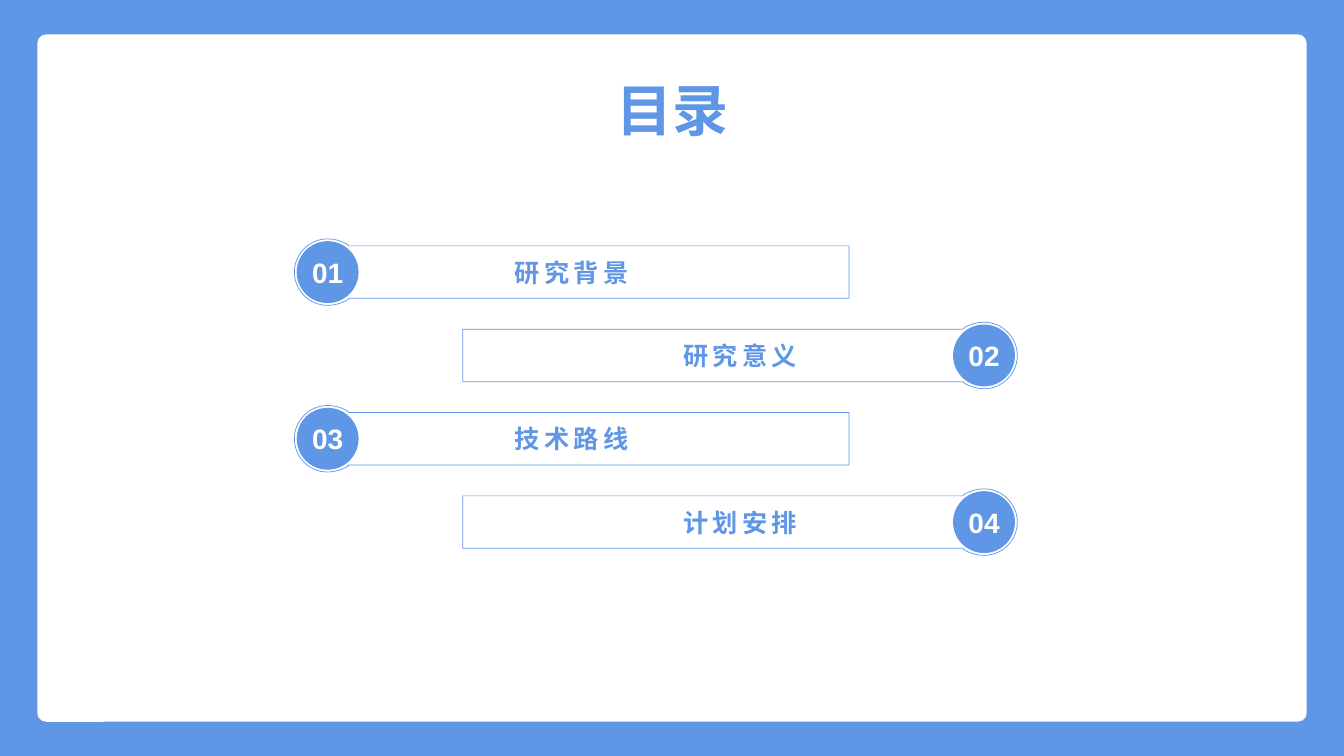
import pptx
import pptx.util
import pptx.dml.color
import pptx.enum.shapes
import pptx.enum.text
import pptx.oxml.ns
import lxml.etree

COLORS = {"blue": "6096E6", "white": "FFFFFF"}
CHINESE_FONT = "Noto Sans CJK SC"
WIDTH, HEIGHT = 13.33, 7.5
ENTRIES = ["研究背景", "研究意义", "技术路线", "计划安排"]
FIRST_ROW, LAST_ROW = 2.7, 5.18
ROW_PITCH = (LAST_ROW - FIRST_ROW) / (len(ENTRIES) - 1)
COLUMN_KNOB, COLUMN_END, COLUMN_SUM = 3.25, 8.42, 13.01
RING_RADIUS, KNOB_RADIUS, BAR_HALF = 0.33, 0.3, 0.26
ARC_HANDLE = 0.55 * RING_RADIUS
BAR_REACH = COLUMN_END - COLUMN_KNOB


def style_shape(shape, fill, line_width):
    shape.shadow.inherit = False
    if fill:
        shape.fill.solid()
        shape.fill.fore_color.rgb = pptx.dml.color.RGBColor.from_string(COLORS[fill])
    else:
        shape.fill.background()
    if line_width:
        shape.line.color.rgb = pptx.dml.color.RGBColor.from_string(COLORS["blue"])
        shape.line.width = pptx.util.Pt(line_width)
    else:
        shape.line.fill.background()


def write_text(shape, text, size, font_name, color, spacing=0):
    frame = shape.text_frame
    frame.text = text
    frame.vertical_anchor = pptx.enum.text.MSO_ANCHOR.MIDDLE
    frame.word_wrap = True
    frame.auto_size = pptx.enum.text.MSO_AUTO_SIZE.NONE
    frame.margin_left = frame.margin_right = frame.margin_top = frame.margin_bottom = 0
    paragraph = frame.paragraphs[0]
    paragraph.alignment = pptx.enum.text.PP_ALIGN.CENTER
    paragraph.font.size = pptx.util.Pt(size)
    paragraph.font.bold = True
    paragraph.font.name = font_name
    paragraph.font.color.rgb = pptx.dml.color.RGBColor.from_string(COLORS[color])
    properties = paragraph._p.pPr.find(pptx.oxml.ns.qn("a:defRPr"))
    if spacing:
        properties.set("spc", str(spacing * 100))
    east_asian = lxml.etree.SubElement(properties, pptx.oxml.ns.qn("a:ea"))
    east_asian.set("typeface", font_name)


presentation = pptx.Presentation()
presentation.slide_width = pptx.util.Inches(WIDTH)
presentation.slide_height = pptx.util.Inches(HEIGHT)
slide = presentation.slides.add_slide(presentation.slide_layouts[5])
shapes = slide.shapes
preset = pptx.enum.shapes.MSO_SHAPE

backdrop = shapes.add_shape(
    preset.RECTANGLE, 0, 0, presentation.slide_width, presentation.slide_height)
style_shape(backdrop, "blue", 0)

panel_box = [0.37, 0.34, WIDTH - 2 * 0.37, HEIGHT - 2 * 0.34]
panel = shapes.add_shape(preset.ROUNDED_RECTANGLE, *map(pptx.util.Inches, panel_box))
panel.adjustments[0] = 0.013
style_shape(panel, "white", 0)

title = shapes.title
title.left, title.top, title.width, title.height = map(
    pptx.util.Inches, [6.11, 0.75, 1.12, 0.67])
write_text(title, "目录", 40, CHINESE_FONT, "blue")
title.text_frame.word_wrap = False
shapes._spTree.append(title._element)

upper_arc = [(0, -RING_RADIUS), (0.07, -RING_RADIUS), (0.13, -0.31), (0.19, -0.28)]
upper_edge = [(0.21, -BAR_HALF), (BAR_REACH, -BAR_HALF)]
upper_half = upper_arc + upper_edge
lower_half = [(x, -y) for x, y in reversed(upper_half)]
left_arcs = [(-ARC_HANDLE, RING_RADIUS), (-RING_RADIUS, ARC_HANDLE), (-RING_RADIUS, 0),
             (-RING_RADIUS, -ARC_HANDLE), (-ARC_HANDLE, -RING_RADIUS), (0, -RING_RADIUS)]
outline = upper_half + lower_half + left_arcs
curve_starts = [0, 8, 11, 14]

for index, entry in enumerate(ENTRIES):
    center_y = FIRST_ROW + index * ROW_PITCH
    mirrored = index % 2 == 1
    knob_x = COLUMN_SUM - COLUMN_KNOB if mirrored else COLUMN_KNOB
    direction = -1 if mirrored else 1
    points = [(pptx.util.Inches(knob_x + direction * x), pptx.util.Inches(center_y + y))
              for x, y in outline]
    builder = shapes.build_freeform(*points[0])
    builder.add_line_segments(points[1:], close=True)
    bar = builder.convert_to_shape()
    segments = list(bar._element.iter(pptx.oxml.ns.qn("a:lnTo")))
    for start in curve_starts:
        curve = lxml.etree.Element(pptx.oxml.ns.qn("a:cubicBezTo"))
        segments[start].addprevious(curve)
        for segment in segments[start:start + 3]:
            curve.append(segment[0])
            segment.getparent().remove(segment)
    style_shape(bar, None, 0.5)
    write_text(bar, entry, 18, CHINESE_FONT, "blue", spacing=3)

    knob_box = [knob_x - KNOB_RADIUS, center_y - KNOB_RADIUS, 2 * KNOB_RADIUS, 2 * KNOB_RADIUS]
    knob = shapes.add_shape(preset.OVAL, *map(pptx.util.Inches, knob_box))
    style_shape(knob, "blue", 1)

    number_box = [knob_x - 0.27, center_y - 0.2, 0.54, 0.4]
    number = shapes.add_textbox(*map(pptx.util.Inches, number_box))
    write_text(number, f"{index + 1:02d}", 20, "Arial", "white")

presentation.save("out.pptx")
